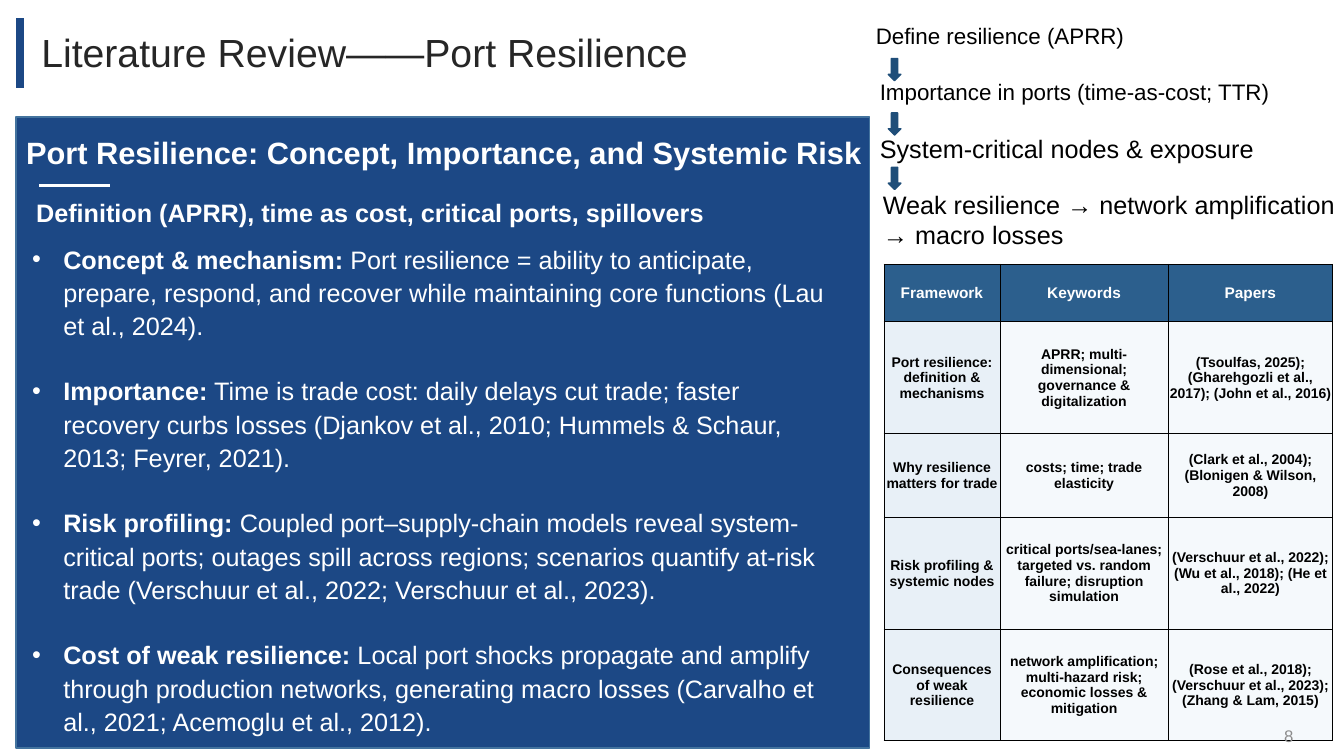
from lxml import etree
from pptx import Presentation
from pptx.dml.color import RGBColor
from pptx.enum.shapes import MSO_CONNECTOR, MSO_SHAPE
from pptx.enum.text import MSO_ANCHOR, MSO_AUTO_SIZE, PP_ALIGN
from pptx.oxml.ns import qn
from pptx.util import Inches, Pt

LINE = MSO_CONNECTOR.STRAIGHT
RECT, ARROW = MSO_SHAPE.RECTANGLE, MSO_SHAPE.DOWN_ARROW
TOP, MIDDLE = MSO_ANCHOR.TOP, MSO_ANCHOR.MIDDLE
LEFT, CENTER, RIGHT = PP_ALIGN.LEFT, PP_ALIGN.CENTER, PP_ALIGN.RIGHT
NO_FIT = MSO_AUTO_SIZE.NONE

NAVY = RGBColor(0x1C, 0x48, 0x85)
EDGE = RGBColor(0x43, 0x73, 0x9E)
STEEL = RGBColor(0x1F, 0x4E, 0x79)
HEAD = RGBColor(0x2C, 0x5F, 0x8D)
PALE = RGBColor(0xE8, 0xF0, 0xF7)
MIST = RGBColor(0xF5, 0xF9, 0xFC)
INK = RGBColor(0x26, 0x26, 0x26)
GRAY = RGBColor(0x8C, 0x8C, 0x8C)
BLACK = RGBColor(0, 0, 0)
WHITE = RGBColor(0xFF, 0xFF, 0xFF)

COLS, ROWS = 160, 90

POINTS = [
    ("Concept & mechanism:", " Port resilience = ability to anticipate, prepare, respond, "
     "and recover while maintaining core functions (Lau et al., 2024)."),
    ("Importance:", " Time is trade cost: daily delays cut trade; faster recovery curbs "
     "losses (Djankov et al., 2010; Hummels & Schaur, 2013; Feyrer, 2021)."),
    ("Risk profiling:", " Coupled port–supply-chain models reveal system-critical ports; "
     "outages spill across regions; scenarios quantify at-risk trade "
     "(Verschuur et al., 2022; Verschuur et al., 2023)."),
    ("Cost of weak resilience:", " Local port shocks propagate and amplify through production "
     "networks, generating macro losses (Carvalho et al., 2021; Acemoglu et al., 2012)."),
]

STEPS = [
    ("Define resilience (APRR)", 103.08, 2.04, 16),
    ("Importance in ports (time-as-cost; TTR)", 103.56, 8.7, 16),
    ("System-critical nodes & exposure", 103.56, 15.24, 18),
    ("Weak resilience → network amplification → macro losses", 103.92, 21.96, 18),
]

PAPERS = [
    ("Framework", "Keywords", "Papers"),
    ("Port resilience: definition & mechanisms",
     "APRR; multi-dimensional; governance & digitalization",
     "(Tsoulfas, 2025); (Gharehgozli et al., 2017); (John et al., 2016)"),
    ("Why resilience matters for trade",
     "costs; time; trade elasticity",
     "(Clark et al., 2004); (Blonigen & Wilson, 2008)"),
    ("Risk profiling & systemic nodes",
     "critical ports/sea-lanes; targeted vs. random failure; disruption simulation",
     "(Verschuur et al., 2022); (Wu et al., 2018); (He et al., 2022)"),
    ("Consequences of weak resilience",
     "network amplification; multi-hazard risk; economic losses & mitigation",
     "(Rose et al., 2018); (Verschuur et al., 2023); (Zhang & Lam, 2015)"),
]


class Deck:
    face = "Arial"

    def __init__(self):
        self.prs = Presentation()
        self.prs.slide_width, self.prs.slide_height = Inches(13.33), Inches(7.5)
        self.slide = self.prs.slides.add_slide(self.prs.slide_layouts[5])
        self.shapes = self.slide.shapes

    def x(self, col):
        return round(self.prs.slide_width * col / COLS)

    def y(self, row):
        return round(self.prs.slide_height * row / ROWS)

    def area(self, col, row, wide, high):
        return self.x(col), self.y(row), self.x(wide), self.y(high)

    def style(self, par, size, color, bold=False, align=LEFT):
        par.alignment = align
        for run in par.runs:
            font = run.font
            font.name, font.size, font.bold = self.face, Pt(size), bold
            font.color.rgb = color

    def fill(self, box, text, size, color, bold=False, align=LEFT, anchor=TOP):
        frame = box.text_frame
        frame.word_wrap, frame.auto_size = True, NO_FIT
        frame.vertical_anchor = anchor
        frame.text = text
        self.style(frame.paragraphs[0], size, color, bold, align)

    def title(self, text, place, size, color):
        box = self.shapes.title
        box.left, box.top, box.width, box.height = self.area(*place)
        self.fill(box, text, size, color)

    def text(self, text, place, size, color, **look):
        box = self.shapes.add_textbox(*self.area(*place))
        self.fill(box, text, size, color, **look)

    def shape(self, kind, place, color, edge):
        item = self.shapes.add_shape(kind, *self.area(*place))
        item.shadow.inherit = False
        item.fill.solid()
        item.fill.fore_color.rgb = color
        item.line.color.rgb = edge
        item.line.width = Pt(1)

    def line(self, start, end, color, width):
        item = self.shapes.add_connector(
            LINE, self.x(start[0]), self.y(start[1]), self.x(end[0]), self.y(end[1]))
        item.line.color.rgb = color
        item.line.width = Pt(width)
        etree.SubElement(item._element.spPr, qn("a:effectLst"))

    def bullets(self, points, place, size, color):
        frame = self.shapes.add_textbox(*self.area(*place)).text_frame
        frame.word_wrap = True
        for i, (lead, rest) in enumerate(points):
            par = frame.add_paragraph() if i else frame.paragraphs[0]
            props = par._p.get_or_add_pPr()
            props.set("marL", str(Inches(0.31)))
            props.set("indent", str(Inches(-0.31)))
            etree.SubElement(props, qn("a:buFont"), typeface=self.face)
            etree.SubElement(props, qn("a:buChar"), char="•")
            par.line_spacing = 1.1
            if i:
                par.space_before = Pt(23)
            par.add_run().text = lead
            par.add_run().text = rest
            self.style(par, size, color)
            par.runs[0].font.bold = True

    def border(self, cell):
        props = cell._tc.get_or_add_tcPr()
        for side in ("lnL", "lnR", "lnT", "lnB"):
            edge = etree.SubElement(props, qn("a:" + side), w=str(Pt(0.5)))
            paint = etree.SubElement(edge, qn("a:solidFill"))
            etree.SubElement(paint, qn("a:srgbClr"), val=str(BLACK))

    def table(self, rows, place, wides, highs):
        grid = self.shapes.add_table(len(rows), len(wides), *self.area(*place)).table
        for col, wide in zip(grid.columns, wides):
            col.width = self.x(wide)
        for r, (row, high) in enumerate(zip(rows, highs)):
            grid.rows[r].height = self.y(high)
            for c, text in enumerate(row):
                cell = grid.cell(r, c)
                self.border(cell)
                cell.fill.solid()
                cell.fill.fore_color.rgb = HEAD if r == 0 else MIST if c else PALE
                cell.margin_left = cell.margin_right = cell.margin_top = Inches(0.01)
                cell.margin_bottom = 0
                cell.vertical_anchor = MIDDLE
                cell.text_frame.text = text
                size, color = (10, BLACK) if r else (11, WHITE)
                self.style(cell.text_frame.paragraphs[0], size, color, True, CENTER)


def main():
    deck = Deck()
    deck.title("Literature Review——Port Resilience", (3.72, 2.76, 105.5, 6.84), 28, INK)
    deck.line((2.4, 2.16), (2.4, 10.44), NAVY, 6)
    deck.shape(RECT, (1.92, 13.92, 101.64, 75.12), NAVY, EDGE)
    deck.text("Port Resilience: Concept, Importance, and Systemic Risk",
              (1.92, 15.36, 103.4, 5.64), 22, WHITE, bold=True)
    deck.line((4.68, 22.08), (13.08, 22.08), WHITE, 2)
    deck.text("Definition (APRR), time as cost, critical ports, spillovers",
              (3.12, 22.92, 100, 4.8), 18, WHITE, bold=True)
    deck.bullets(POINTS, (2.64, 28.08, 98.64, 60.84), 18, WHITE)
    for text, col, row, size in STEPS:
        deck.text(text, (col, row, 58.2, 4.8), size, BLACK)
    for i in range(len(STEPS) - 1):
        deck.shape(ARROW, (105.75, 6.96 + 6.48 * i, 1.5, 2.64), STEEL, STEEL)
    deck.table(PAPERS, (105.24, 31.44, 53.4, 56.7),
               (13.8, 20.04, 19.56), (6.84, 13.32, 9.96, 13.32, 13.32))
    deck.text("8", (119.16, 85.2, 36, 4.8), 12, GRAY, align=RIGHT, anchor=MIDDLE)
    deck.prs.save("out.pptx")


if __name__ == "__main__":
    main()
